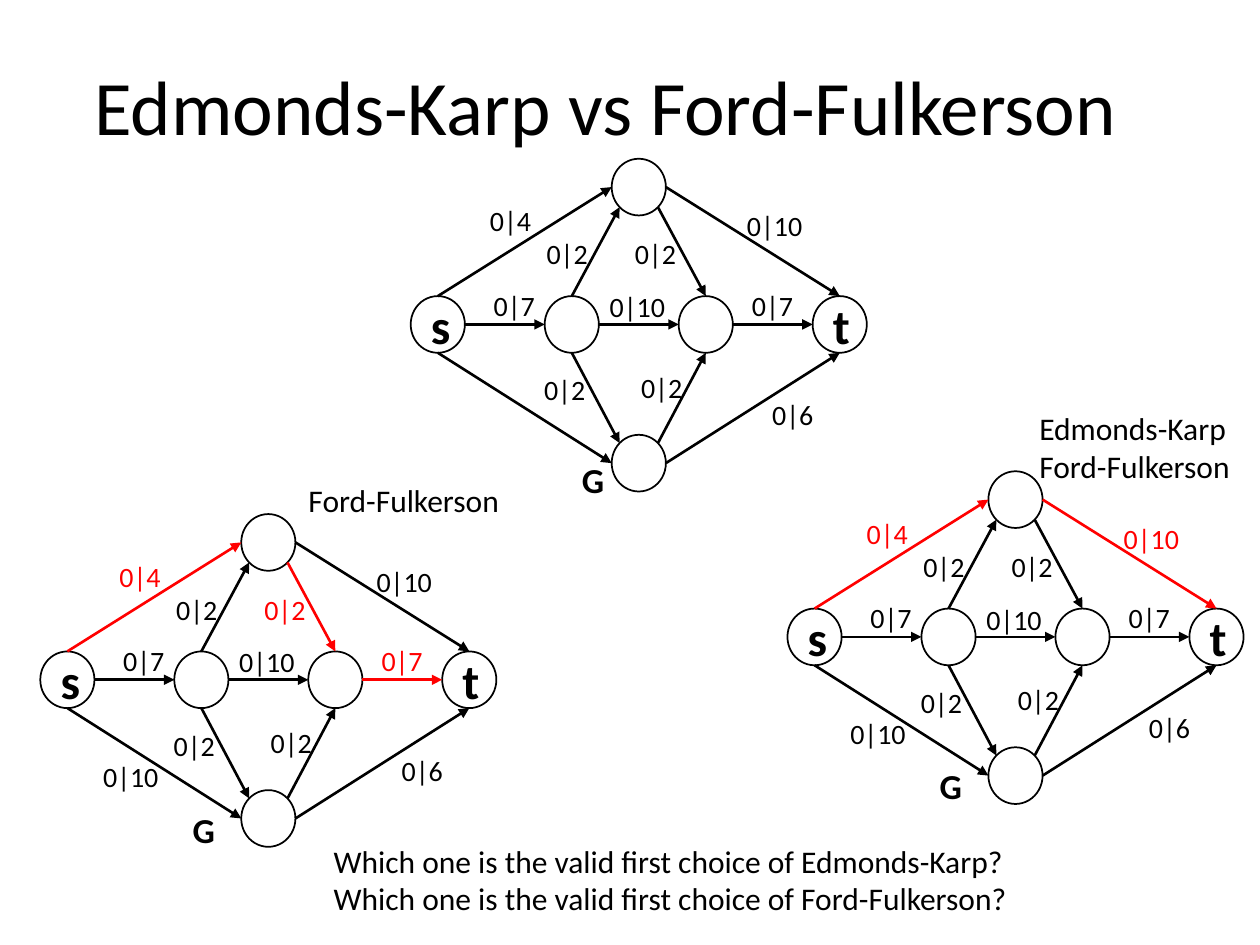
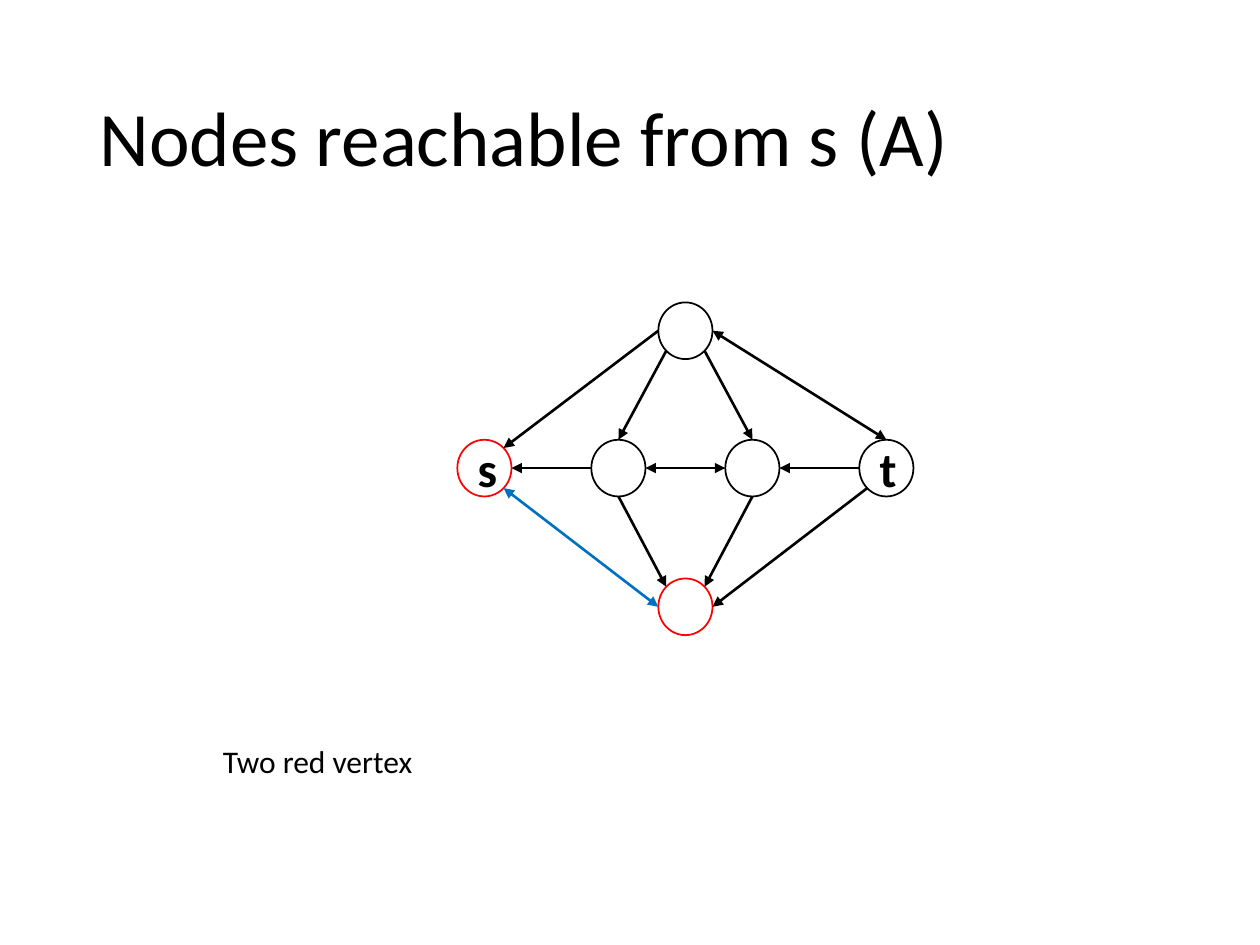
from math import sqrt

from lxml.etree import SubElement
from pptx import Presentation
from pptx.dml.color import RGBColor
from pptx.enum.shapes import MSO_CONNECTOR, MSO_SHAPE
from pptx.enum.text import MSO_ANCHOR, MSO_AUTO_SIZE, PP_ALIGN
from pptx.oxml.ns import qn
from pptx.util import Inches, Pt

# Shared style
FONT = "Calibri"
BLACK, WHITE, RED, BLUE = "000000", "FFFFFF", "FF0000", "0070C0"
rgb = RGBColor.from_string

# Node grid: column and row of each node, measured from the graph's corner
COL, ROW = 3.19 / 6, 1.09
NODE_W, NODE_H = 0.43, 0.45
NODES = {"t": (6, 1), "s": (0, 1), "a": (2, 1), "b": (4, 1),
         "top": (3, 0), "bottom": (3, 2.01)}

# Points on a node's outline where arrows attach, as shares of its size
LOW, HIGH = 0.5 - sqrt(0.125), 0.5 + sqrt(0.125)
PORTS = {"n": (0.5, 0), "e": (1, 0.5), "s": (0.5, 1), "w": (0, 0.5),
         "ne": (HIGH, LOW), "nw": (LOW, LOW),
         "se": (HIGH, HIGH), "sw": (LOW, HIGH)}

# Flow network: start, port, end, port, flow|capacity, label offset
NETWORK = [
    ("s", "e", "a", "w", "0|7", 0.56, 0.98),
    ("a", "e", "b", "w", "0|10", 1.48, 0.99),
    ("b", "e", "t", "w", "0|7", 2.61, 0.98),
    ("s", "n", "top", "w", "0|4", 0.53, 0.31),
    ("top", "se", "b", "n", "0|2", 1.68, 0.57),
    ("top", "e", "t", "n", "0|10", 2.57, 0.35),
    ("a", "n", "top", "sw", "0|2", 0.98, 0.57),
    ("s", "s", "bottom", "w", "0|10", 0.40, 1.90),
    ("bottom", "e", "t", "s", "0|6", 2.77, 1.85),
    ("a", "s", "bottom", "nw", "0|2", 0.96, 1.65),
    ("bottom", "ne", "b", "s", "0|2", 1.73, 1.63),
]

# Residual graph: no labels
RESIDUAL = [
    ("top", "w", "s", "ne", "", 0, 0),
    ("top", "e", "t", "n", "", 0, 0),
    ("top", "sw", "a", "n", "", 0, 0),
    ("top", "se", "b", "n", "", 0, 0),
    ("s", "se", "bottom", "w", "", 0, 0),
    ("a", "w", "s", "e", "", 0, 0),
    ("t", "sw", "bottom", "e", "", 0, 0),
    ("t", "w", "b", "e", "", 0, 0),
    ("b", "w", "a", "e", "", 0, 0),
    ("a", "s", "bottom", "nw", "", 0, 0),
    ("b", "s", "bottom", "ne", "", 0, 0),
]


def add_text(slide, lines, x, y, w, h, size=18, color=BLACK, bold=False):
    tb = slide.shapes.add_textbox(Inches(x), Inches(y), Inches(w), Inches(h))
    tf = tb.text_frame
    tf.word_wrap = False
    tf.auto_size = MSO_AUTO_SIZE.SHAPE_TO_FIT_TEXT
    tf.text = "\n".join(lines)
    for p in tf.paragraphs:
        p.font.name, p.font.size, p.font.bold = FONT, Pt(size), bold
        p.font.color.rgb = rgb(color)


def add_graph(slide, x, y, edges, edge_colors, node_colors, two_way, unlabelled):
    # Nodes
    for name, (col, row) in NODES.items():
        sp = slide.shapes.add_shape(
            MSO_SHAPE.OVAL, Inches(x + col * COL), Inches(y + row * ROW),
            Inches(NODE_W), Inches(NODE_H))
        sp.shadow.inherit = False
        sp.fill.solid()
        sp.fill.fore_color.rgb = rgb(WHITE)
        sp.line.color.rgb = rgb(node_colors.get(name, BLACK))
        sp.line.width = Pt(1)
        if name in ("s", "t"):
            p = sp.text_frame.paragraphs[0]
            p.text = name
            p.alignment = PP_ALIGN.CENTER
            p.font.name, p.font.size, p.font.bold = FONT, Pt(28), True
            p.font.color.rgb = rgb(BLACK)

    # Arrows and their labels
    for start, port1, end, port2, label, dx, dy in edges:
        color = edge_colors.get((start, end), BLACK)
        points = []
        for node, port in ((start, port1), (end, port2)):
            (col, row), (px, py) = NODES[node], PORTS[port]
            points += [Inches(x + col * COL + px * NODE_W),
                       Inches(y + row * ROW + py * NODE_H)]
        line = slide.shapes.add_connector(MSO_CONNECTOR.STRAIGHT, *points)
        line.line.color.rgb = rgb(color)
        line.line.width = Pt(1.5)
        ln = line.line._get_or_add_ln()
        if (start, end) in two_way:
            SubElement(ln, qn("a:headEnd"), type="triangle")
        SubElement(ln, qn("a:tailEnd"), type="triangle")
        SubElement(line._element.spPr, qn("a:effectLst"))
        if label and (start, end) not in unlabelled:
            width = 0.53 if len(label) == 3 else 0.65
            add_text(slide, [label], x + dx, y + dy, width, 0.37, 16, color)


prs = Presentation()
prs.slide_width, prs.slide_height = Inches(10), Inches(7.5)

# Slides with their titles
slides = []
for text, left, top in (("Edmonds-Karp vs Ford-Fulkerson", 0.65, 0.15),
                        ("Nodes reachable from s (A)", 0.69, 0.4)):
    s = prs.slides.add_slide(prs.slide_layouts.get_by_name("Title Only"))
    title = s.shapes.title
    title.left, title.top = Inches(left), Inches(top)
    title.width, title.height = Inches(8.62), Inches(1.45)
    tf = title.text_frame
    tf.text = text
    tf.auto_size = MSO_AUTO_SIZE.NONE
    tf.vertical_anchor = MSO_ANCHOR.MIDDLE
    p = tf.paragraphs[0]
    p.alignment, p.line_spacing = PP_ALIGN.LEFT, 0.9
    p.font.name, p.font.size = FONT, Pt(44)
    p.font.color.rgb = rgb(BLACK)
    slides.append(s)
compare, reachable = slides

# Slide 1: the network and two first augmenting paths
# Each: corner, path in red, unlabelled edges, offset of the letter G
for x, y, path, unlabelled, gx, gy in (
        (3.26, 1.26, [], [("s", "bottom")], 1.26, 2.33),
        (6.25, 3.74, ["s", "top", "t"], [], 1.11, 2.28),
        (0.32, 4.08, ["s", "top", "b", "t"], [], 1.11, 2.29)):
    red_edges = {edge: RED for edge in zip(path, path[1:])}
    add_graph(compare, x, y, NETWORK, red_edges, {}, [], unlabelled)
    add_text(compare, ["G"], x + gx, y + gy, 0.38, 0.44, 20, bold=True)

add_text(compare, ["Which one is the valid first choice of Edmonds-Karp?",
                   "Which one is the valid first choice of Ford-Fulkerson?"],
         2.55, 6.63, 5.58, 0.71)
add_text(compare, ["Edmonds-Karp", "Ford-Fulkerson"], 8.15, 3.2, 1.73, 0.71)
add_text(compare, ["Ford-Fulkerson"], 2.35, 3.77, 1.73, 0.4)

# Slide 2: nodes reachable from s
add_graph(reachable, 3.63, 2.4, RESIDUAL, {("s", "bottom"): BLUE},
          {"s": RED, "bottom": RED},
          [("top", "t"), ("s", "bottom"), ("b", "a")], [])
add_text(reachable, ["Two red vertex"], 1.67, 5.84, 1.78, 0.4)

prs.save("out.pptx")
